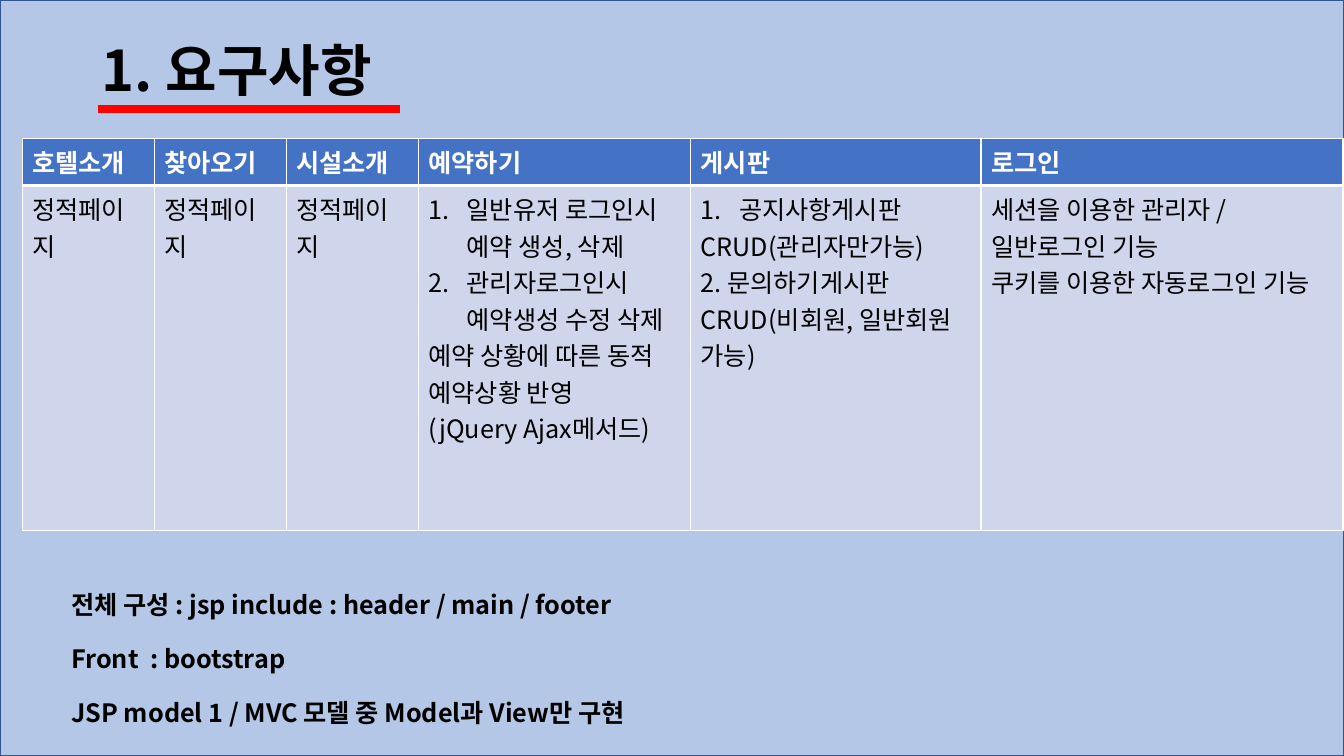
"""Build the requirements slide: title, feature table and notes on the structure."""
from lxml.etree import SubElement
from pptx import Presentation
from pptx.dml.color import RGBColor as RGB
from pptx.enum.shapes import MSO_CONNECTOR as CONN, MSO_SHAPE as SHAPE
from pptx.enum.text import MSO_ANCHOR as ANCHOR, MSO_AUTO_SIZE as AUTO, PP_ALIGN as ALIGN
from pptx.oxml import parse_xml
from pptx.oxml.ns import nsdecls, qn
from pptx.util import Inches, Pt

COLORS = {"back": "B4C7E7", "edge": "325491", "rule": "FF0000", "head": "4472C4",
          "body": "CFD5EA", "white": "FFFFFF", "text": "000000"}
FONT = "Noto Sans CJK KR"
STATIC = ["정적페이지"]
FEATURES = [
    ("호텔소개", 1.31, STATIC, 0),
    ("찾아오기", 1.31, STATIC, 0),
    ("시설소개", 1.31, STATIC, 0),
    ("예약하기", 2.7, ["일반유저 로그인시 예약 생성, 삭제", "관리자로그인시 예약생성 수정 삭제",
                    "예약 상황에 따른 동적 예약상황 반영", "(jQuery Ajax메서드)"], 2),
    ("게시판", 2.88, ["공지사항게시판", "CRUD(관리자만가능)", "2. 문의하기게시판",
                   "CRUD(비회원, 일반회원 가능)"], 1),
    ("로그인", 3.59, ["세션을 이용한 관리자 / 일반로그인 기능", "쿠키를 이용한 자동로그인 기능"], 0),
]
NOTES = [
    (5.8, 5.99, 0.4, ["전체 구성 : jsp include : header / main / footer"]),
    (6.33, 6.06, 1.01, ["Front  : bootstrap", "JSP model 1 / MVC 모델 중 Model과 View만 구현"]),
]


def write(tf, lines, size=18, bold=False, color="text", numbered=0, gap=0):
    """Fill a text frame, numbering the first paragraphs."""
    tf.word_wrap = True
    for i, line in enumerate(lines):
        p = tf.paragraphs[0] if i == 0 else tf.add_paragraph()
        p.alignment = ALIGN.LEFT
        p.space_before = Pt(gap if i else 0)
        if i < numbered:
            pPr = p._p.get_or_add_pPr()
            pPr.set("marL", str(Inches(0.38)))
            pPr.set("indent", str(-Inches(0.38)))
            SubElement(pPr, qn("a:buFont"), typeface="+mj-lt")
            SubElement(pPr, qn("a:buAutoNum"), type="arabicPeriod")
        r = p.add_run()
        r.text = line
        r.font.size, r.font.bold, r.font.name = Pt(size), bold, FONT
        r.font.color.rgb = RGB.from_string(COLORS[color])
        SubElement(r._r.get_or_add_rPr(), qn("a:ea"), typeface=FONT)


def style_cell(cell, fill, top, bottom):
    """Set the fill and the white borders of a cell."""
    cell.fill.solid()
    cell.fill.fore_color.rgb = RGB.from_string(COLORS[fill])
    tcPr = cell._tc.get_or_add_tcPr()
    for i, (side, width) in enumerate(zip("LRTB", (1, 1, top, bottom))):
        tcPr.insert(i, parse_xml(
            f'<a:ln{side} {nsdecls("a")} w="{Pt(width)}"><a:solidFill>'
            f'<a:srgbClr val="{COLORS["white"]}"/></a:solidFill></a:ln{side}>'))


prs = Presentation()
prs.slide_width, prs.slide_height = Inches(13.33), Inches(7.5)
s = prs.slides.add_slide(prs.slide_layouts[5])

back = s.shapes.add_shape(SHAPE.RECTANGLE, 0, 0, prs.slide_width, prs.slide_height)
back.shadow.inherit = False
back.fill.solid()
back.fill.fore_color.rgb = RGB.from_string(COLORS["back"])
back.line.color.rgb = RGB.from_string(COLORS["edge"])
back.line.width = Pt(1)
s.shapes._spTree.insert(2, back._element)

title = s.shapes.title
title.left, title.top, title.width, title.height = map(Inches, (0.91, 0.3, 10.26, 0.77))
title.text_frame.vertical_anchor = ANCHOR.TOP
title.text_frame.auto_size = AUTO.SHAPE_TO_FIT_TEXT
write(title.text_frame, ["1. 요구사항"], size=40, bold=True)

rule = s.shapes.add_connector(CONN.STRAIGHT, *map(Inches, (0.97, 1.08, 3.97, 1.08)))
rule.line.color.rgb = RGB.from_string(COLORS["rule"])
rule.line.width = Pt(6)
SubElement(rule._element.spPr, qn("a:effectLst"))

table = s.shapes.add_table(2, len(FEATURES), *map(Inches, (0.22, 1.37, 13.1, 3.89))).table
table.rows[0].height, table.rows[1].height = Inches(0.47), Inches(3.42)
for col, (heading, width, details, numbered) in enumerate(FEATURES):
    table.columns[col].width = Inches(width)
    head, body = table.cell(0, col), table.cell(1, col)
    write(head.text_frame, [heading], bold=True, color="white")
    write(body.text_frame, details, numbered=numbered)
    style_cell(head, "head", 1, 3)
    style_cell(body, "body", 3, 1)

for top, width, height, lines in NOTES:
    note = s.shapes.add_textbox(*map(Inches, (0.61, top, width, height)))
    note.text_frame.auto_size = AUTO.SHAPE_TO_FIT_TEXT
    write(note.text_frame, lines, bold=True, gap=17.5)

prs.save("out.pptx")
